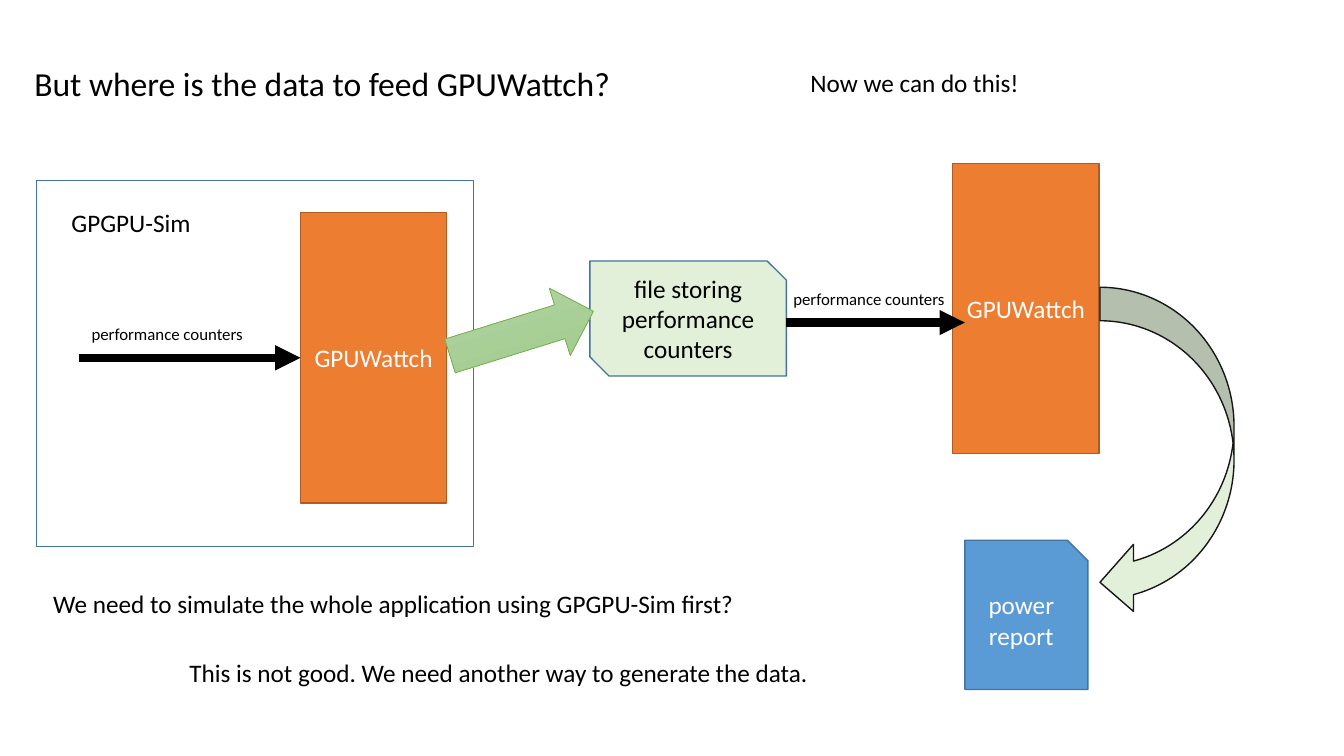
"""Build the slide on feeding performance counters to GPUWattch."""
from lxml import etree
from pptx import Presentation
from pptx.dml.color import RGBColor
from pptx.enum.shapes import MSO_CONNECTOR, MSO_SHAPE
from pptx.enum.text import MSO_ANCHOR, PP_ALIGN
from pptx.oxml.ns import qn
from pptx.util import Inches, Pt

RECT = MSO_SHAPE.RECTANGLE
SNIP = MSO_SHAPE.SNIP_1_RECTANGLE
FILE = MSO_SHAPE.SNIP_2_DIAG_RECTANGLE
CURVE = MSO_SHAPE.CURVED_LEFT_ARROW
ARROW = MSO_SHAPE.RIGHT_ARROW
LINE = MSO_CONNECTOR.STRAIGHT
LEFT, CENTER = PP_ALIGN.LEFT, PP_ALIGN.CENTER
TOP, MIDDLE = MSO_ANCHOR.TOP, MSO_ANCHOR.MIDDLE

COLORS = {
    "black": "000000", "white": "FFFFFF", "ink": "181717",
    "orange": "ED7D31", "rust": "AF5C24",
    "blue": "5B9BD5", "navy": "43739E",
    "pale": "E2F0D9", "green": "70AD47",
    "light": "B5D5A7", "deep": "9CC987",
}
FONT = "Calibri"

TITLE = ("But where is the data to feed GPUWattch?", (0.24, 0.57, 5.97, 0.5))
SHAPES = [
    (RECT, (9.45, 1.62, 1.45, 2.88), "orange", "rust", "GPUWattch", "white"),
    (SNIP, (9.57, 5.36, 1.22, 1.48), "blue", "navy", "power report", "white"),
    (CURVE, (10.91, 2.85, 1.33, 3.26), "pale", "ink", "", "black"),
    (FILE, (5.85, 2.59, 1.95, 1.14), "pale", "navy",
     "file storing performance counters", "black"),
    (RECT, (0.36, 1.79, 4.34, 3.63), None, "navy", "", "black"),
    (RECT, (2.98, 2.11, 1.45, 2.88), "orange", "rust", "GPUWattch", "white"),
]
FLOWS = [(7.8, 9.57, 3.2), (0.78, 2.98, 3.55)]
LABELS = [
    ("performance counters", (7.77, 2.82, 1.72, 0.3), 12),
    ("performance counters", (0.81, 3.16, 1.72, 0.3), 12),
    ("Now we can do this!", (7.94, 0.62, 2.3, 0.4), 18),
    ("GPGPU-Sim", (0.61, 2.01, 1.39, 0.4), 18),
    ("We need to simulate the whole application using GPGPU-Sim first?",
     (0.43, 5.79, 7.03, 0.4), 18),
    ("This is not good. We need another way to generate the data.",
     (1.78, 6.47, 6.41, 0.4), 18),
]
EXPORT = (4.43, 2.96, 1.49, 0.7)
TILT = 342.7


def color(name):
    return RGBColor.from_string(COLORS[name])


def write(shape, text, size=18, ink="black", align=LEFT, anchor=TOP, wrap=False):
    frame = shape.text_frame
    frame.word_wrap = wrap
    frame.vertical_anchor = anchor
    para = frame.paragraphs[0]
    para.alignment = align
    run = para.add_run()
    run.text = text
    run.font.name = FONT
    run.font.size = Pt(size)
    run.font.color.rgb = color(ink)


def draw(slide, kind, box, fill, edge, width=1):
    shape = slide.shapes.add_shape(kind, *map(Inches, box))
    shape.shadow.inherit = False
    if fill:
        shape.fill.solid()
        shape.fill.fore_color.rgb = color(fill)
    else:
        shape.fill.background()
    shape.line.color.rgb = color(edge)
    shape.line.width = Pt(width)
    return shape


def flow(slide, start, end, y):
    link = slide.shapes.add_connector(LINE, *map(Inches, (start, y, end, y)))
    link.line.color.rgb = color("black")
    link.line.width = Pt(6)
    props = link.line._get_or_add_ln()
    etree.SubElement(props, qn("a:tailEnd"), type="triangle")
    etree.SubElement(link._element.spPr, qn("a:effectLst"))


def export(slide):
    arrow = draw(slide, ARROW, EXPORT, "light", "green", 0.5)
    arrow.rotation = TILT
    arrow.fill.gradient()
    arrow.fill.gradient_angle = 270
    for stop, name in zip(arrow.fill.gradient_stops, ("light", "deep")):
        stop.color.rgb = color(name)


def main():
    deck = Presentation()
    deck.slide_width, deck.slide_height = Inches(13.33), Inches(7.5)
    slide = deck.slides.add_slide(deck.slide_layouts[5])

    text, box = TITLE
    title = slide.shapes.title
    title.left, title.top, title.width, title.height = map(Inches, box)
    write(title, text, size=24)

    for kind, box, fill, edge, text, ink in SHAPES:
        shape = draw(slide, kind, box, fill, edge)
        if text:
            write(shape, text, ink=ink, align=CENTER, anchor=MIDDLE, wrap=True)
    for start, end, y in FLOWS:
        flow(slide, start, end, y)
    export(slide)
    for text, box, size in LABELS:
        write(slide.shapes.add_textbox(*map(Inches, box)), text, size=size)

    deck.save("out.pptx")


if __name__ == "__main__":
    main()
